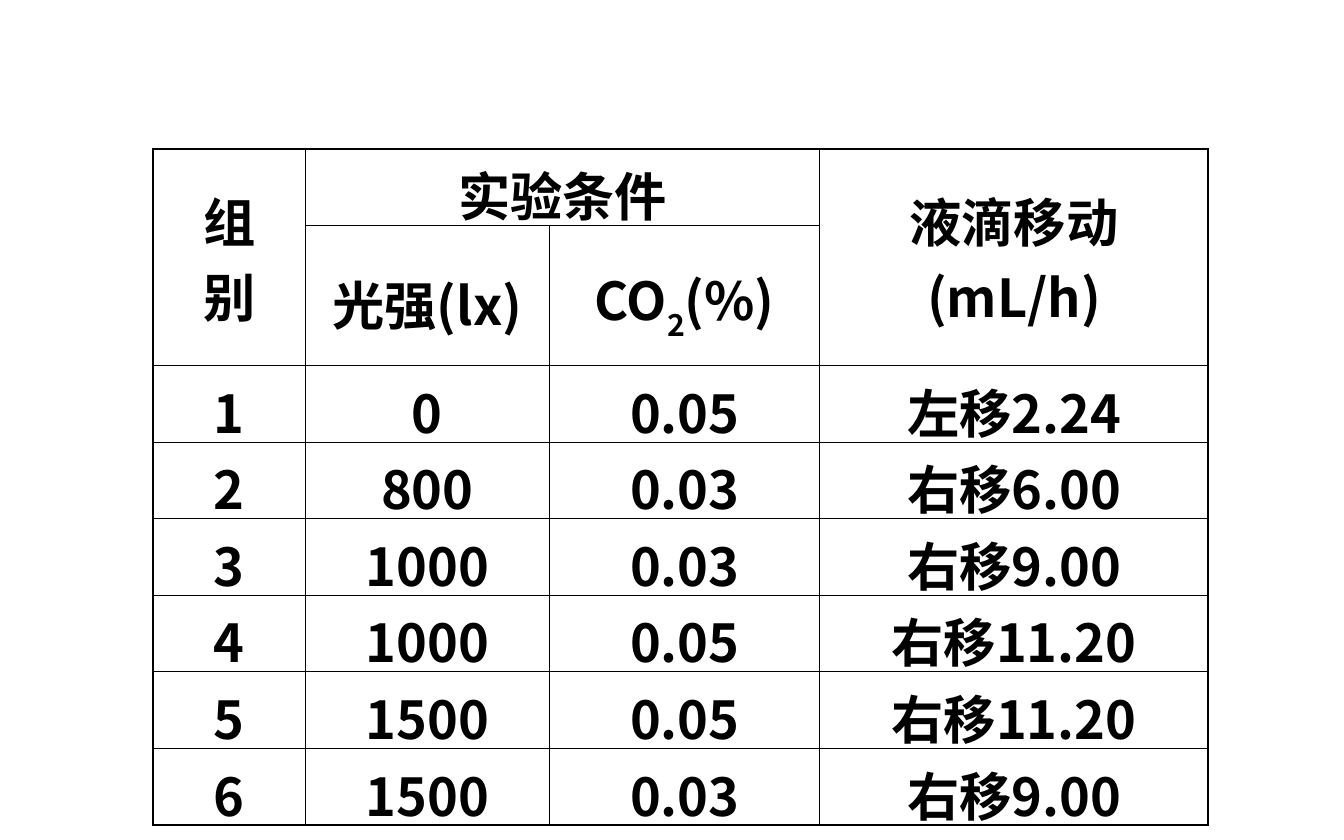
from typing import NamedTuple

from lxml import etree
from pptx import Presentation
from pptx import util as u
from pptx.dml.color import RGBColor
from pptx.enum import text
from pptx.oxml import ns

COLORS = {"ink": "000000"}
FONT = "Noto Sans CJK SC"
INNER, OUTER = 0.45, 0.96  # border widths in points
INSET = 0.05
COLS = [1.13, 1.82, 2.01, 2.89]
ROWS = [0.57, 1.04] + [0.57] * 6


class Heading(NamedTuple):
    row: int
    col: int
    lines: tuple[str, ...]
    rows: int = 1
    cols: int = 1


class Trial(NamedTuple):
    group: str
    light: str
    co2: str
    movement: str


HEADINGS = [
    Heading(0, 0, ("组", "别"), rows=2),
    Heading(0, 1, ("实验条件",), cols=2),
    Heading(0, 3, ("液滴移动", "(mL/h)"), rows=2),
    Heading(1, 1, ("光强(lx)",)),
    Heading(1, 2, ("CO~2~(%)",)),
]
TRIALS = [
    Trial("1", "0", "0.05", "左移2.24"),
    Trial("2", "800", "0.03", "右移6.00"),
    Trial("3", "1000", "0.03", "右移9.00"),
    Trial("4", "1000", "0.05", "右移11.20"),
    Trial("5", "1500", "0.05", "右移11.20"),
    Trial("6", "1500", "0.03", "右移9.00"),
]


def write(cell, *lines: str, size: float = 28, bold: bool = True, color: str = "ink") -> None:
    """Fill a cell, one paragraph a line; text between tildes is subscript.

    The negative bottom inset keeps the tall line height from stretching the row.
    """
    cell.vertical_anchor = text.MSO_ANCHOR.MIDDLE
    cell.margin_top = u.Inches(-INSET if len(lines) > 1 else INSET)
    cell.margin_bottom = u.Inches(-INSET)
    tf = cell.text_frame
    for i, line in enumerate(lines):
        p = tf.add_paragraph() if i else tf.paragraphs[0]
        p.alignment = text.PP_ALIGN.CENTER
        for j, part in enumerate(line.split("~")):
            r = p.add_run()
            r.text = part
            r.font.size, r.font.bold, r.font.name = u.Pt(size), bold, FONT
            r.font.color.rgb = RGBColor.from_string(COLORS[color])
            rpr = r.font._element
            etree.SubElement(rpr, ns.qn("a:ea")).set("typeface", FONT)
            if j % 2:
                rpr.set("baseline", "-30000")


def set_borders(cell, row: int, col: int) -> None:
    """Draw all four sides, heavier along the outside of the table."""
    outside = {"L": col == 0, "R": col == len(COLS) - 1,
               "T": row == 0, "B": row == len(ROWS) - 1}
    tcpr = cell._tc.get_or_add_tcPr()
    for i, (side, is_outer) in enumerate(outside.items()):
        ln = etree.Element(ns.qn(f"a:ln{side}"))
        ln.set("w", str(u.Pt(OUTER if is_outer else INNER)))
        fill = etree.SubElement(ln, ns.qn("a:solidFill"))
        etree.SubElement(fill, ns.qn("a:srgbClr")).set("val", COLORS["ink"])
        tcpr.insert(i, ln)


def main() -> None:
    prs = Presentation()
    prs.slide_width, prs.slide_height = u.Inches(10), u.Inches(6.25)
    s = prs.slides.add_slide(prs.slide_layouts[6])
    table = s.shapes.add_table(len(ROWS), len(COLS), u.Inches(1.14), u.Inches(1.11),
                               u.Inches(sum(COLS)), u.Inches(sum(ROWS))).table
    table.first_row = table.horz_banding = False
    for column, width in zip(table.columns, COLS):
        column.width = u.Inches(width)
    for row, height in zip(table.rows, ROWS):
        row.height = u.Inches(height)

    for r in range(len(ROWS)):
        for c in range(len(COLS)):
            cell = table.cell(r, c)
            cell.fill.background()
            set_borders(cell, r, c)
    for h in HEADINGS:
        cell = table.cell(h.row, h.col)
        if h.rows > 1 or h.cols > 1:
            cell.merge(table.cell(h.row + h.rows - 1, h.col + h.cols - 1))
        write(cell, *h.lines)
    for r, trial in enumerate(TRIALS, start=2):
        for c, value in enumerate(trial):
            write(table.cell(r, c), value)

    prs.save("out.pptx")


if __name__ == "__main__":
    main()
